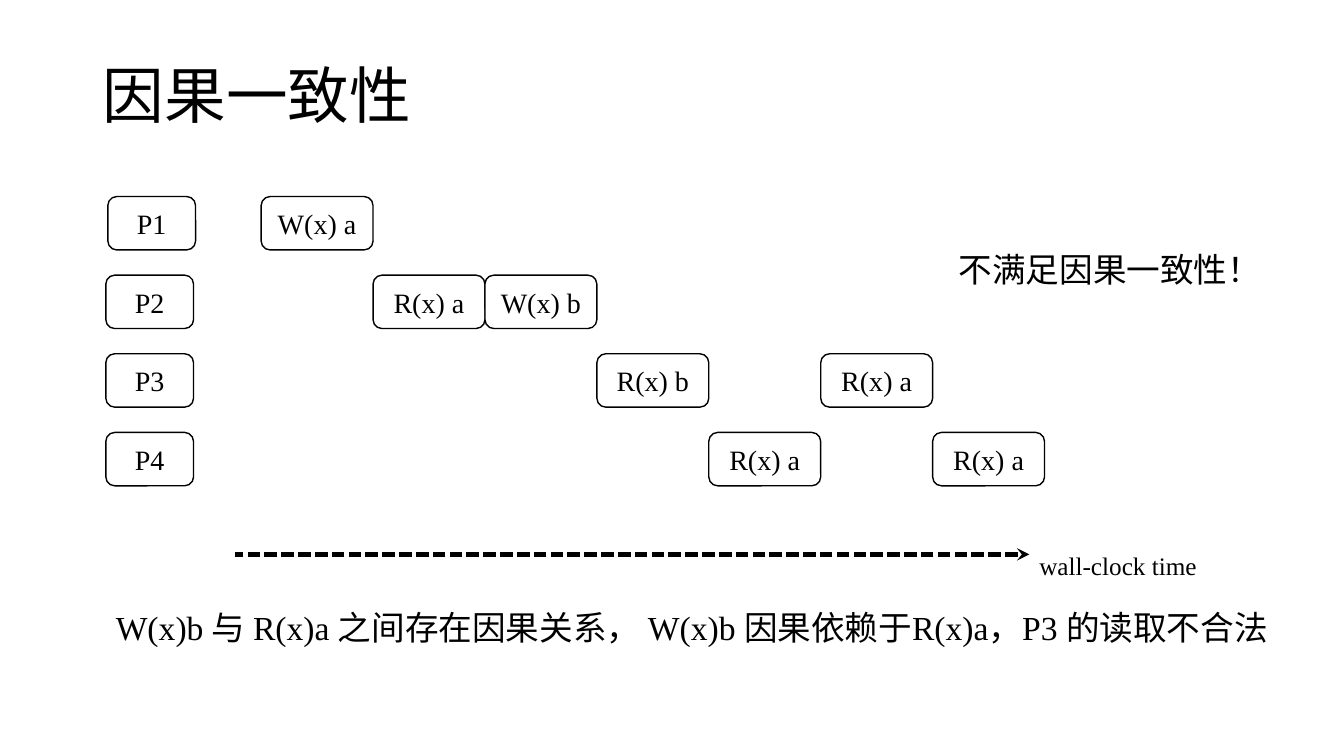
from dataclasses import dataclass

from lxml.etree import SubElement
from pptx import Presentation
from pptx.dml.color import RGBColor
from pptx.enum.dml import MSO_LINE
from pptx.enum.shapes import MSO_CONNECTOR, MSO_SHAPE
from pptx.enum.text import MSO_ANCHOR, MSO_AUTO_SIZE, PP_ALIGN
from pptx.oxml.ns import qn
from pptx.util import Inches, Pt

COLORS = {"ink": "000000", "paper": "FFFFFF"}
FONT = "Times New Roman"
ROW_TOP, ROW_STEP, BOX_HEIGHT = 1.95, 0.78, 0.53
PROCESS_WIDTH = 0.87
SLOT_LEFT, SLOT_WIDTH = 2.59, 1.11


@dataclass
class Operation:
    label: str
    slot: int


@dataclass
class Process:
    label: str
    left: float
    operations: list[Operation]


@dataclass
class Caption:
    text: str
    left: float
    top: float
    width: float
    height: float
    size: int
    wrap: bool


PROCESSES = [
    Process("P1", 1.07, [Operation("W(x) a", 0)]),
    Process("P2", 1.05, [Operation("R(x) a", 1), Operation("W(x) b", 2)]),
    Process("P3", 1.05, [Operation("R(x) b", 3), Operation("R(x) a", 5)]),
    Process("P4", 1.05, [Operation("R(x) a", 4), Operation("R(x) a", 6)]),
]

CAPTIONS = [
    Caption("W(x)b 与 R(x)a 之间存在因果关系， W(x)b 因果依赖于R(x)a，P3 的读取不合法",
            1.05, 5.97, 11.72, 0.5, 24, True),
    Caption("不满足因果一致性！", 9.41, 2.42, 3.01, 0.5, 24, True),
    Caption("wall-clock time", 10.21, 5.41, 1.84, 0.4, 18, False),
]


def color(name: str) -> RGBColor:
    return RGBColor.from_string(COLORS[name])


def write_text(frame, text: str, *, size: int, align=PP_ALIGN.LEFT,
               anchor=MSO_ANCHOR.TOP, spacing: float = 1.0, wrap: bool = True) -> None:
    frame.word_wrap = wrap
    frame.vertical_anchor = anchor
    paragraph = frame.paragraphs[0]
    paragraph.alignment = align
    paragraph.line_spacing = spacing
    run = paragraph.add_run()
    run.text = text
    run.font.size = Pt(size)
    run.font.name = FONT
    run.font.color.rgb = color("ink")


def draw_box(slide, label: str, left: float, row: int, width: float) -> None:
    box = slide.shapes.add_shape(
        MSO_SHAPE.ROUNDED_RECTANGLE, Inches(left), Inches(ROW_TOP + row * ROW_STEP),
        Inches(width), Inches(BOX_HEIGHT))
    box.shadow.inherit = False
    box.fill.solid()
    box.fill.fore_color.rgb = color("paper")
    box.line.color.rgb = color("ink")
    box.line.width = Pt(1)
    write_text(box.text_frame, label, size=20, align=PP_ALIGN.CENTER,
               anchor=MSO_ANCHOR.MIDDLE)


def draw_process(slide, process: Process, row: int) -> None:
    draw_box(slide, process.label, process.left, row, PROCESS_WIDTH)
    for operation in process.operations:
        left = SLOT_LEFT + operation.slot * SLOT_WIDTH
        draw_box(slide, operation.label, left, row, SLOT_WIDTH)


def draw_time_axis(slide) -> None:
    axis = slide.shapes.add_connector(
        MSO_CONNECTOR.STRAIGHT, Inches(10.21), Inches(5.5), Inches(2.33), Inches(5.5))
    axis.line.color.rgb = color("ink")
    axis.line.width = Pt(3)
    axis.line.dash_style = MSO_LINE.SQUARE_DOT
    properties = axis._element.spPr
    SubElement(properties.find(qn("a:ln")), qn("a:headEnd"), type="stealth")
    SubElement(properties, qn("a:effectLst"))


def draw_caption(slide, caption: Caption) -> None:
    box = slide.shapes.add_textbox(
        Inches(caption.left), Inches(caption.top),
        Inches(caption.width), Inches(caption.height))
    box.text_frame.auto_size = MSO_AUTO_SIZE.SHAPE_TO_FIT_TEXT
    write_text(box.text_frame, caption.text, size=caption.size, wrap=caption.wrap)


def main() -> None:
    presentation = Presentation()
    presentation.slide_width = Inches(13.33)
    presentation.slide_height = Inches(7.5)
    slide = presentation.slides.add_slide(presentation.slide_layouts[5])

    title = slide.shapes.title
    title.left, title.top = Inches(0.92), Inches(0.25)
    title.width, title.height = Inches(11.5), Inches(1.45)
    write_text(title.text_frame, "因果一致性", size=44,
               anchor=MSO_ANCHOR.MIDDLE, spacing=0.9)

    for row, process in enumerate(PROCESSES):
        draw_process(slide, process, row)
    draw_time_axis(slide)
    for caption in CAPTIONS:
        draw_caption(slide, caption)

    presentation.save("out.pptx")


if __name__ == "__main__":
    main()
